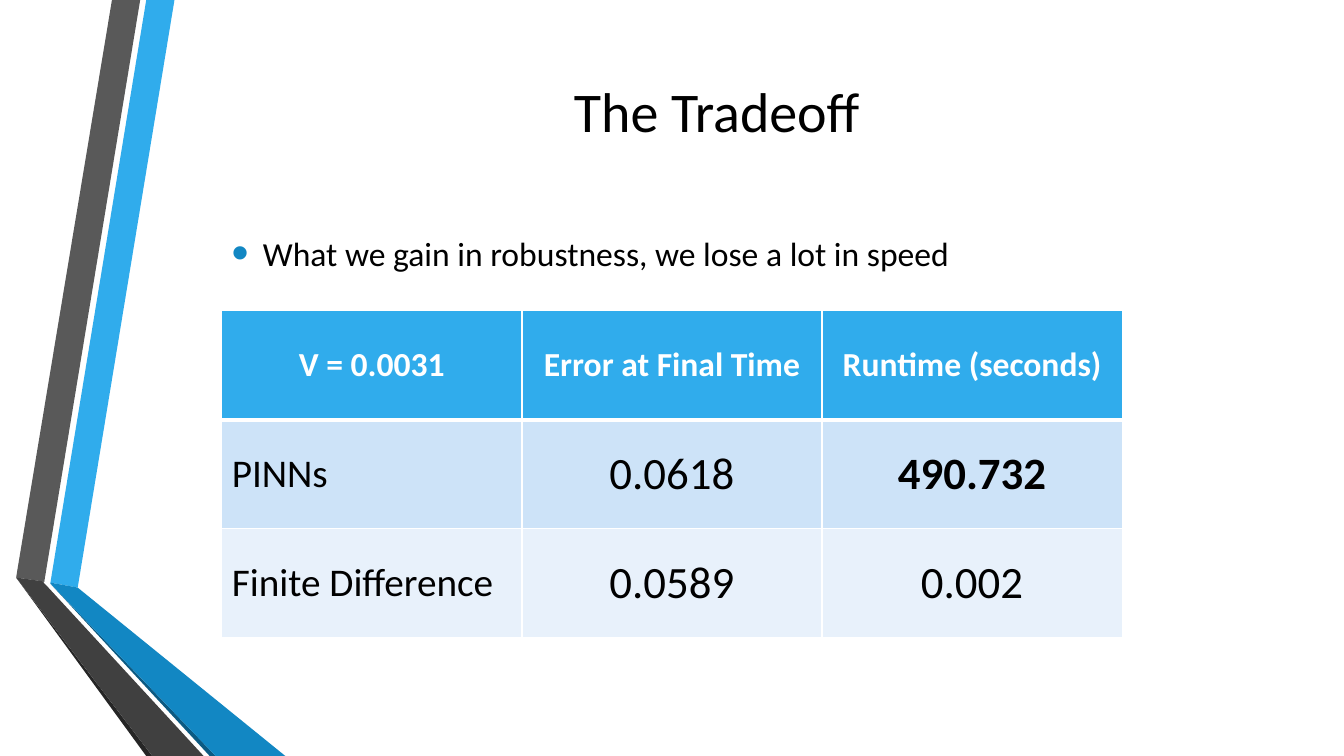
import lxml.etree
import pptx
import pptx.dml.color
import pptx.enum.text
import pptx.oxml
import pptx.oxml.ns
import pptx.util

THEME = {
    "font": "Calibri",
    "black": "000000", "white": "FFFFFF",
    "sky": "30ACEC", "blue": "1287C3", "navy": "0C5A82",
    "gray": "595959", "charcoal": "404040", "soot": "262626",
    "band": "CDE3F8", "pale": "E8F1FB",
    "title": 40, "body": 24, "label": 28, "value": 32,
}
ALIGN = pptx.enum.text.PP_ALIGN
ANCHOR = pptx.enum.text.MSO_ANCHOR
NAMESPACE = pptx.oxml.ns.nsdecls("a")

deck = pptx.Presentation()
deck.slide_width = pptx.util.Inches(13.33)
deck.slide_height = pptx.util.Inches(7.5)
page = deck.slides.add_slide(deck.slide_layouts[6])
column = deck.slide_width / 100
row = deck.slide_height / 100


def color(name):
    return pptx.dml.color.RGBColor.from_string(THEME[name])


def write(frame, text, size, ink="black", bold=False, align=ALIGN.LEFT,
          anchor=ANCHOR.TOP, bullet=None, after=0):
    frame.word_wrap = True
    frame.vertical_anchor = anchor
    para = frame.paragraphs[0]
    para.alignment = align
    para.space_after = pptx.util.Pt(after)
    if bullet:
        properties = para._p.get_or_add_pPr()
        indent = pptx.util.Inches(0.31)
        properties.set("marL", str(indent))
        properties.set("indent", str(-indent))
        for xml in (
            f'<a:buClr {NAMESPACE}><a:srgbClr val="{THEME[bullet]}"/></a:buClr>',
            f'<a:buSzPct {NAMESPACE} val="145000"/>',
            f'<a:buFont {NAMESPACE} typeface="Arial"/>',
            f'<a:buChar {NAMESPACE} char="•"/>',
        ):
            properties.append(pptx.oxml.parse_xml(xml))
    span = para.add_run()
    span.text = text
    span.font.name = THEME["font"]
    span.font.size = pptx.util.Pt(THEME[size])
    span.font.bold = bold
    span.font.color.rgb = color(ink)


ribbons = [
    ("sky", [(3.75, 77.07), (5.78, 77.73), (12.98, 0), (10.88, 0)]),
    ("gray", [(10.43, 0), (8.33, 0), (1.2, 76.4), (3.3, 76.93)]),
    ("soot", [(1.2, 76.4), (10.88, 100), (11.33, 100)]),
    ("navy", [(3.75, 77.2), (15.6, 100), (16.05, 100)]),
    ("blue", [(3.75, 77.2), (16.05, 100), (21.23, 100), (5.78, 77.73), (3.75, 77.07)]),
    ("charcoal", [(15.15, 100), (3.6, 77.73), (3.23, 77.07), (3.3, 76.93),
                  (1.2, 76.4), (11.33, 100)]),
]
for fill, corners in ribbons:
    points = [(x * column, y * row) for x, y in corners]
    builder = page.shapes.build_freeform(*points[0])
    builder.add_line_segments(points[1:], close=True)
    ribbon = builder.convert_to_shape()
    ribbon.shadow.inherit = False
    ribbon.fill.solid()
    ribbon.fill.fore_color.rgb = color(fill)
    ribbon.line.fill.background()

title_box = page.shapes.add_textbox(
    int(12.23 * column), int(9.07 * row), int(82.2 * column), int(11.07 * row))
write(title_box.text_frame, "The Tradeoff", "title",
      align=ALIGN.CENTER, anchor=ANCHOR.MIDDLE)

body_box = page.shapes.add_textbox(
    int(16.5 * column), int(30.13 * row), int(67 * column), int(10.93 * row))
write(body_box.text_frame, "What we gain in robustness, we lose a lot in speed",
      "body", bullet="blue", after=6)

results = [
    ("V = 0.0031", "Error at Final Time", "Runtime (seconds)"),
    ("PINNs", "0.0618", "490.732"),
    ("Finite Difference", "0.0589", "0.002"),
]
row_fills = ["sky", "band", "pale"]
table = page.shapes.add_table(
    3, 3, int(16.5 * column), int(41.07 * row), int(67 * column), int(43.33 * row)).table

for r, texts in enumerate(results):
    for c, text in enumerate(texts):
        cell = table.cell(r, c)
        header = r == 0
        label = c == 0 and not header
        properties = cell._tc.get_or_add_tcPr()
        widths = {"L": 1, "R": 1, "T": 3 if r == 1 else 1, "B": 3 if header else 1}
        for side, width in widths.items():
            properties.append(pptx.oxml.parse_xml(
                f'<a:ln{side} {NAMESPACE} w="{pptx.util.Pt(width)}"><a:solidFill>'
                f'<a:srgbClr val="{THEME["white"]}"/></a:solidFill></a:ln{side}>'))
        cell.fill.solid()
        cell.fill.fore_color.rgb = color(row_fills[r])
        cell.vertical_anchor = ANCHOR.MIDDLE
        write(cell.text_frame, text,
              "body" if header else "label" if label else "value",
              ink="white" if header else "black",
              bold=header or text == "490.732",
              align=ALIGN.LEFT if label else ALIGN.CENTER,
              anchor=ANCHOR.MIDDLE)

deck.save("out.pptx")
